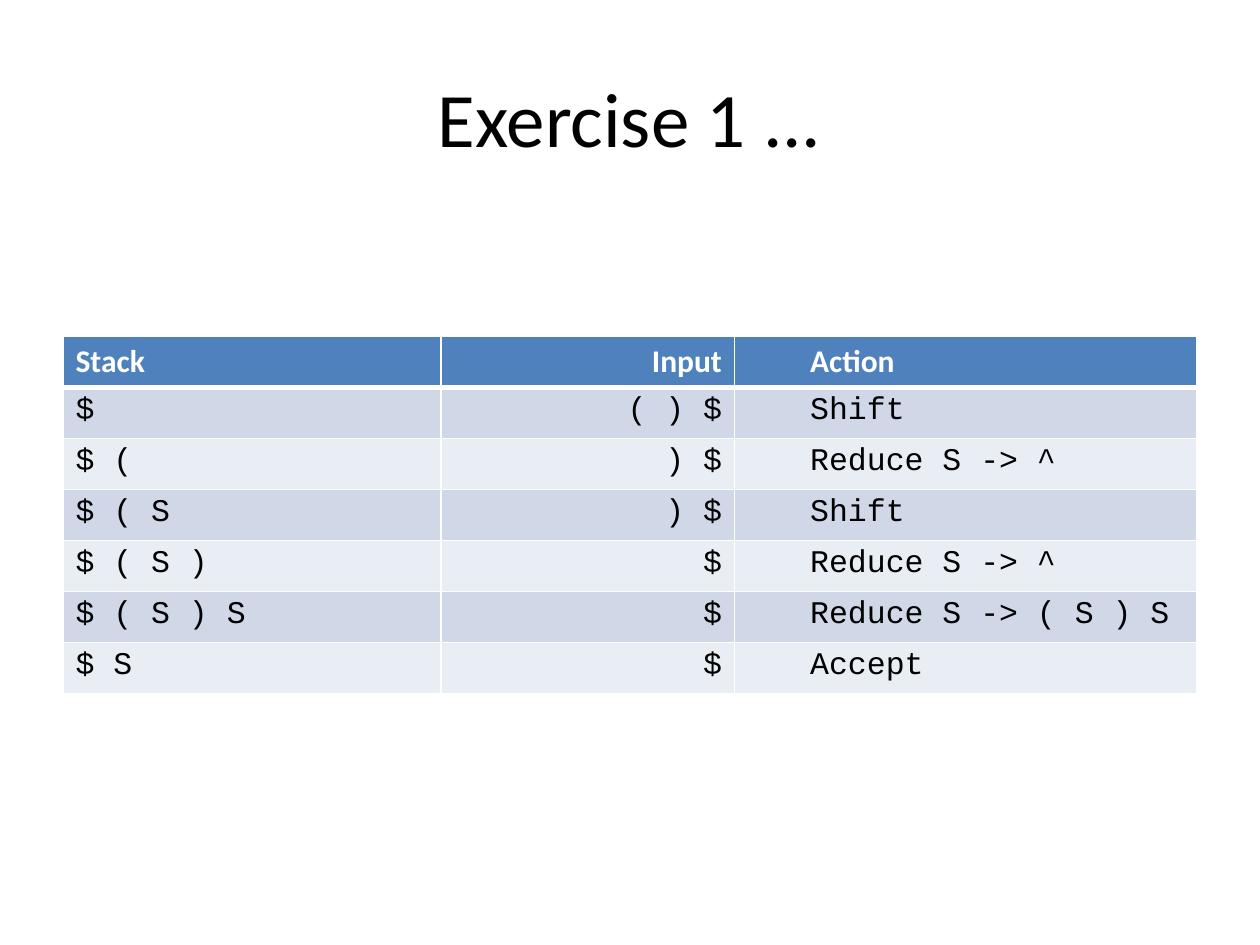
import pptx
import pptx.util
import pptx.dml.color
import pptx.enum.text
import pptx.oxml.ns
import lxml.etree

Inches = pptx.util.Inches
Pt = pptx.util.Pt
Align = pptx.enum.text.PP_ALIGN

# Content
TITLE = "Exercise 1 ..."
HEAD = ("Stack", "Input", "Action")
STEPS = [
    ("$", "( ) $", "Shift"),
    ("$ (", ") $", "Reduce S -> ^"),
    ("$ ( S", ") $", "Shift"),
    ("$ ( S )", "$", "Reduce S -> ^"),
    ("$ ( S ) S", "$", "Reduce S -> ( S ) S"),
    ("$ S", "$", "Accept"),
]
# Column width, alignment, indent level
COLS = [(3, Align.LEFT, 0), (2.33, Align.RIGHT, 0), (3.67, Align.LEFT, 1)]


class Theme:
    sans, mono = "Calibri", "Courier New"
    big, body = 44, 18
    ink, white = "000000", "FFFFFF"
    head, bands = "4F81BD", ("D0D8E8", "E9EDF4")
    thin, thick = 1, 3
    left, top, row, indent = 0.5, 2.67, 0.405, 0.5


def color(code):
    return pptx.dml.color.RGBColor.from_string(code)


def write(para, text, face, size, ink, bold=False):
    run = para.add_run()
    run.text = text
    font = run.font
    font.name, font.size, font.bold = face, Pt(size), bold
    font.color.rgb = color(ink)


def border(cell, base):
    """Draw white lines on all sides, with the given width at the base."""
    props = cell._tc.get_or_add_tcPr()
    qn = pptx.oxml.ns.qn
    for side in "LRTB":
        width = base if side == "B" else Theme.thin
        line = lxml.etree.SubElement(props, qn("a:ln" + side), w=str(Pt(width)))
        fill = lxml.etree.SubElement(line, qn("a:solidFill"))
        lxml.etree.SubElement(fill, qn("a:srgbClr"), val=Theme.white)


def add_title(slide):
    box = slide.shapes.add_textbox(Inches(0.5), Inches(0.3), Inches(9), Inches(1.25))
    frame = box.text_frame
    frame.word_wrap = True
    frame.vertical_anchor = pptx.enum.text.MSO_ANCHOR.MIDDLE
    para = frame.paragraphs[0]
    para.alignment = Align.CENTER
    write(para, TITLE, Theme.sans, Theme.big, Theme.ink)


def add_trace(slide):
    rows = [HEAD] + STEPS
    wide = sum(col[0] for col in COLS)
    table = slide.shapes.add_table(
        len(rows), len(COLS), Inches(Theme.left), Inches(Theme.top),
        Inches(wide), Inches(Theme.row * len(rows))).table
    for col, (width, _, _) in zip(table.columns, COLS):
        col.width = Inches(width)

    for r, row in enumerate(rows):
        top = r == 0
        fill = Theme.head if top else Theme.bands[(r - 1) % 2]
        face, ink = (Theme.sans, Theme.white) if top else (Theme.mono, Theme.ink)
        for c, (text, (_, align, level)) in enumerate(zip(row, COLS)):
            cell = table.cell(r, c)
            # Header has a thick base; the row under it shares that line
            border(cell, Theme.thick if top else Theme.thin)
            if r == 1:
                edge = cell._tc.tcPr.find(pptx.oxml.ns.qn("a:lnT"))
                edge.set("w", str(Pt(Theme.thick)))
            cell.fill.solid()
            cell.fill.fore_color.rgb = color(fill)
            para = cell.text_frame.paragraphs[0]
            para.alignment, para.level = align, level
            para._p.get_or_add_pPr().set("marL", str(Inches(Theme.indent * level)))
            write(para, text, face, Theme.body, ink, bold=top)


def main():
    deck = pptx.Presentation()
    deck.slide_width, deck.slide_height = Inches(10), Inches(7.5)
    slide = deck.slides.add_slide(deck.slide_layouts[6])
    add_title(slide)
    add_trace(slide)
    deck.save("out.pptx")


if __name__ == "__main__":
    main()
